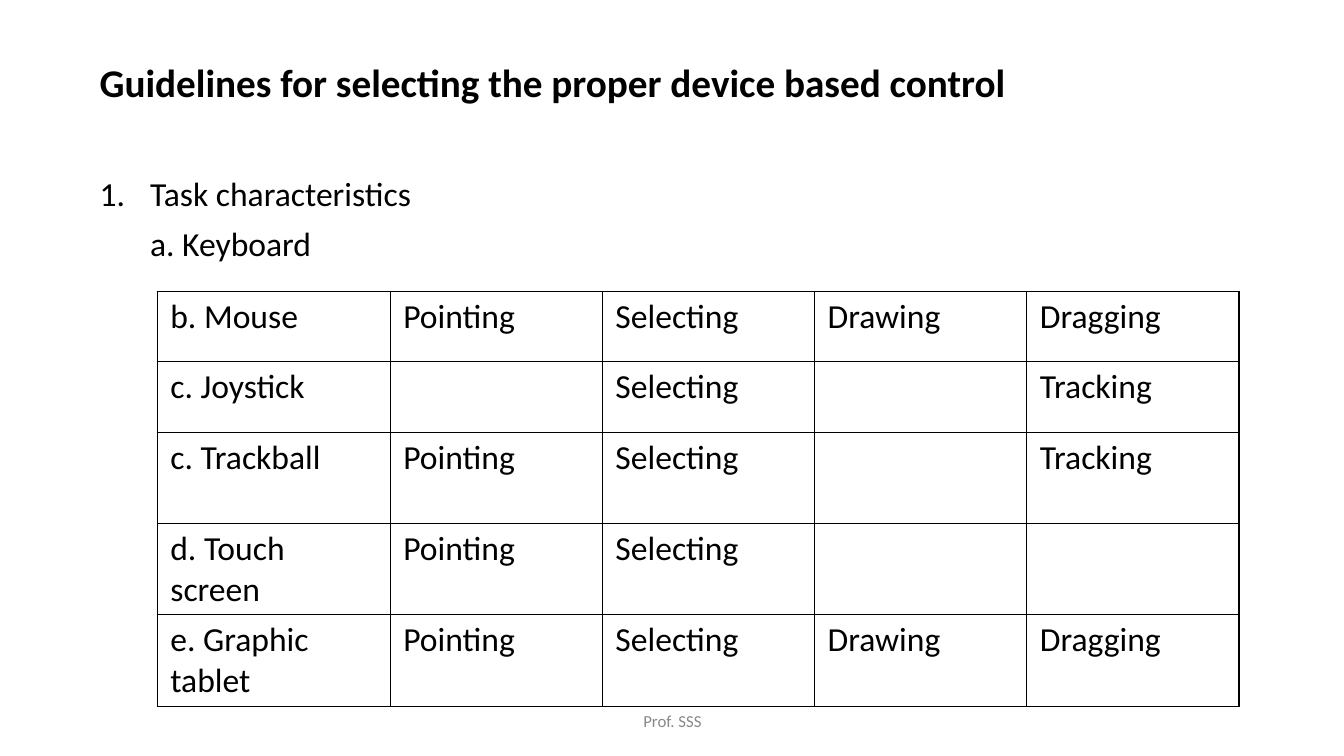
from dataclasses import dataclass

from pptx import Presentation
from pptx.dml.color import RGBColor
from pptx.enum.text import MSO_ANCHOR, PP_ALIGN
from pptx.oxml.ns import qn
from pptx.util import Inches, Pt
from lxml.etree import SubElement


@dataclass(frozen=True)
class Theme:
    font: str = "Calibri"
    ink: str = "000000"
    muted: str = "898989"
    title: int = 28
    body: int = 24
    footer: int = 12
    border: int = 1


THEME = Theme()

DEVICE_TASKS = [
    ["b. Mouse", "Pointing", "Selecting", "Drawing", "Dragging"],
    ["c. Joystick", "", "Selecting", "", "Tracking"],
    ["c. Trackball", "Pointing", "Selecting", "", "Tracking"],
    ["d. Touch screen", "Pointing", "Selecting", "", ""],
    ["e. Graphic tablet", "Pointing", "Selecting", "Drawing", "Dragging"],
]
ROW_HEIGHTS = [0.7, 0.7, 0.9, 0.91, 0.91]
DEVICE_WIDTH = 2.31


def style(p, size, color=THEME.ink, bold=False):
    for r in p.runs:
        r.font.name = THEME.font
        r.font.size = Pt(size)
        r.font.bold = bold
        r.font.color.rgb = RGBColor.from_string(color)


def add_textbox(slide, box):
    tf = slide.shapes.add_textbox(*map(Inches, box)).text_frame
    tf.word_wrap = True
    return tf


def set_indent(p, left, first=0.0, numbered=False):
    pPr = p._p.get_or_add_pPr()
    pPr.set("marL", str(Inches(left)))
    pPr.set("indent", str(Inches(first)))
    if numbered:
        SubElement(pPr, qn("a:buFont"), typeface="+mj-lt")
        SubElement(pPr, qn("a:buAutoNum"), type="arabicPeriod")


def add_guidelines(slide, box):
    """Heading followed by the numbered guideline and its first device."""
    tf = add_textbox(slide, box)
    p = tf.paragraphs[0]
    p.text = "Guidelines for selecting the proper device based control"
    p.line_spacing = 0.9
    style(p, THEME.title, bold=True)

    items = [("Task characteristics", 51, -0.5, True),
             ("a. Keyboard", 10, 0, False)]
    for text, gap, first, numbered in items:
        p = tf.add_paragraph()
        p.text = text
        p.line_spacing = 0.9
        p.space_before = Pt(gap)
        set_indent(p, 0.5, first, numbered)
        style(p, THEME.body)


def add_borders(cell):
    tcPr = cell._tc.get_or_add_tcPr()
    for i, side in enumerate(("a:lnL", "a:lnR", "a:lnT", "a:lnB")):
        ln = tcPr.makeelement(qn(side), {"w": str(Pt(THEME.border))})
        fill = SubElement(ln, qn("a:solidFill"))
        SubElement(fill, qn("a:srgbClr"), val=THEME.ink)
        tcPr.insert(i, ln)


def add_device_table(slide, box):
    n_cols = len(DEVICE_TASKS[0])
    frame = slide.shapes.add_table(len(DEVICE_TASKS), n_cols,
                                   *map(Inches, box))
    table = frame.table
    table.first_row = table.horz_banding = False
    task_width = (box[2] - DEVICE_WIDTH) / (n_cols - 1)
    for i, column in enumerate(table.columns):
        column.width = Inches(task_width if i else DEVICE_WIDTH)
    for row, height, texts in zip(table.rows, ROW_HEIGHTS, DEVICE_TASKS):
        row.height = Inches(height)
        for cell, text in zip(row.cells, texts):
            cell.margin_left = cell.margin_right = Inches(0.13)
            cell.margin_top = cell.margin_bottom = Inches(0.05)
            cell.fill.background()
            add_borders(cell)
            if text:
                cell.text_frame.text = text
                style(cell.text_frame.paragraphs[0], THEME.body)


def add_footer(slide, box):
    tf = add_textbox(slide, box)
    tf.vertical_anchor = MSO_ANCHOR.MIDDLE
    p = tf.paragraphs[0]
    p.text = "Prof. SSS"
    p.alignment = PP_ALIGN.CENTER
    style(p, THEME.footer, THEME.muted)


def main():
    prs = Presentation()
    prs.slide_width, prs.slide_height = Inches(13.33), Inches(7.5)
    slide = prs.slides.add_slide(prs.slide_layouts[6])
    add_guidelines(slide, (0.89, 0.58, 11.67, 6.5))
    add_footer(slide, (4.42, 6.95, 4.5, 0.4))
    add_device_table(slide, (1.56, 2.89, 10.73, sum(ROW_HEIGHTS)))
    prs.save("out.pptx")


if __name__ == "__main__":
    main()
